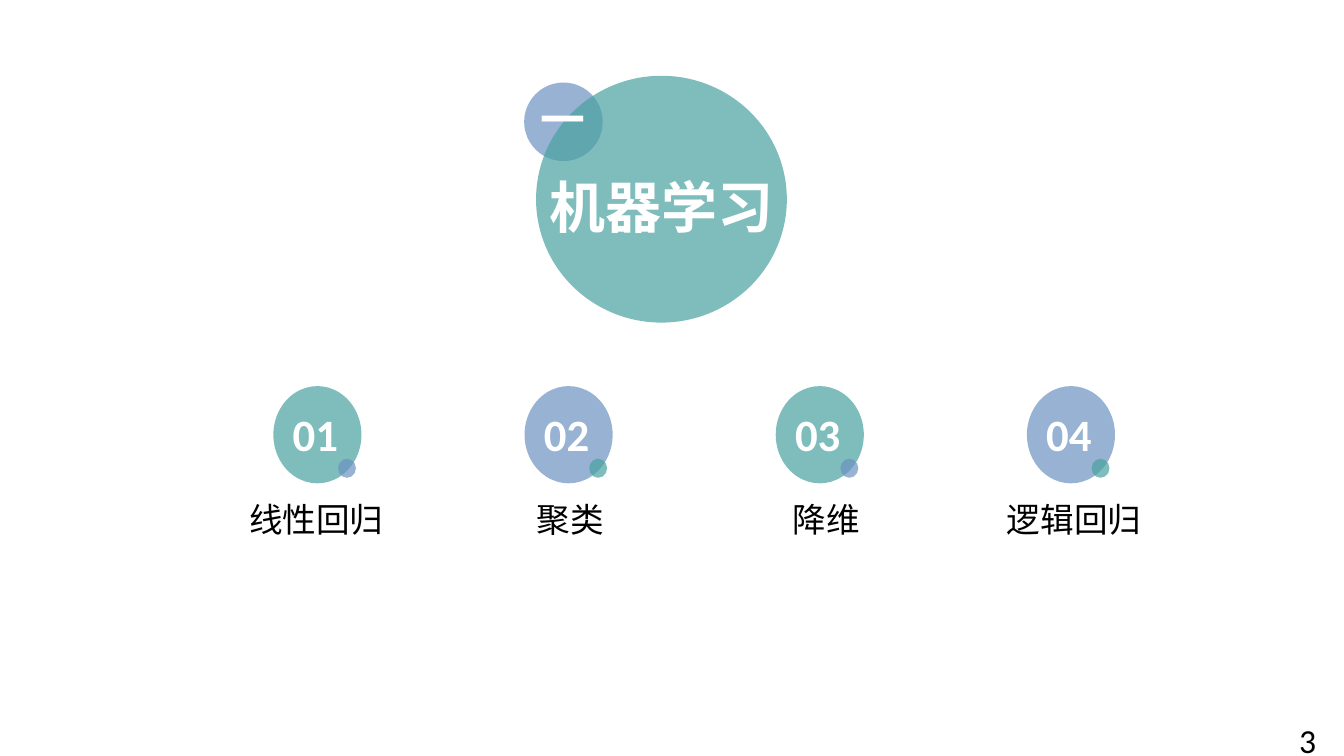
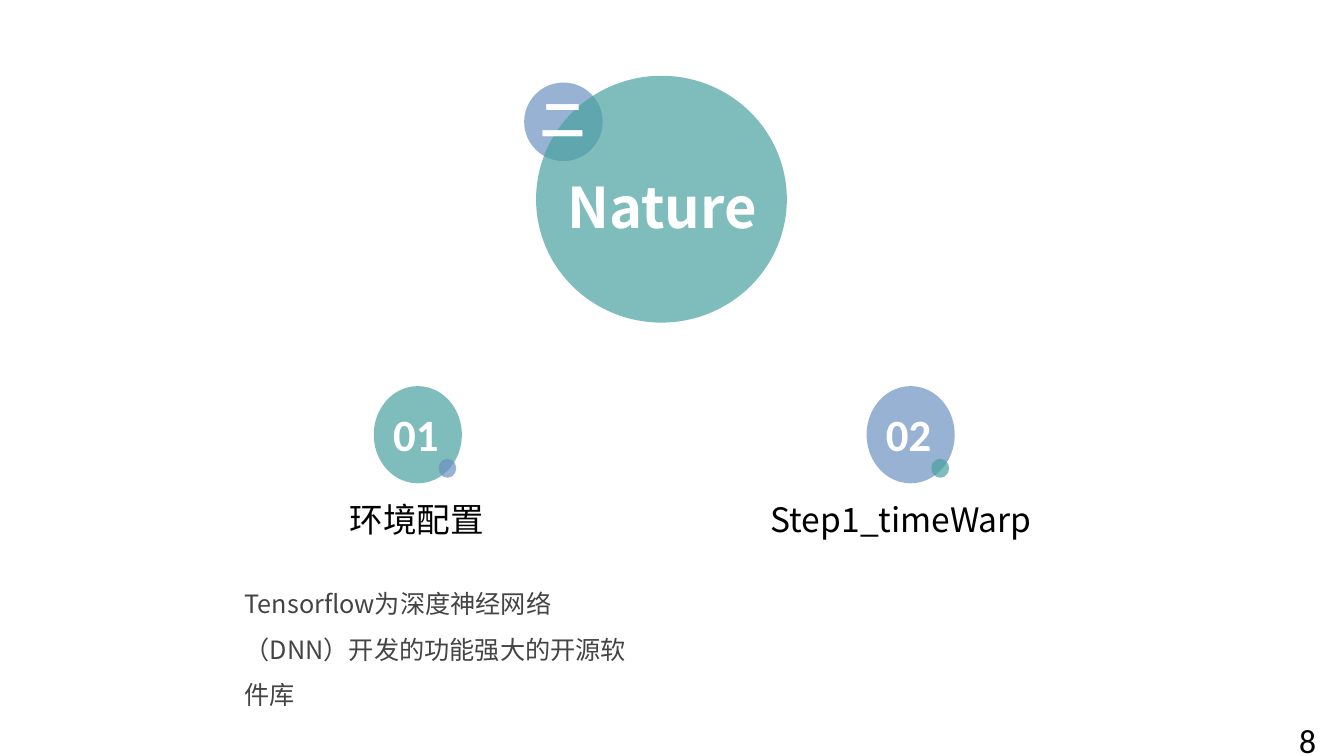
"""Build two section slides with a round heading and numbered topics."""
import lxml.etree
import pptx
import pptx.dml.color
import pptx.enum.shapes
import pptx.enum.text
import pptx.oxml.ns
import pptx.util

Cm = pptx.util.Cm
Pt = pptx.util.Pt
RGBColor = pptx.dml.color.RGBColor
ALIGN = pptx.enum.text.PP_ALIGN
qn = pptx.oxml.ns.qn

TEAL = RGBColor(0x48, 0xA2, 0xA0)
BLUE = RGBColor(0x6C, 0x92, 0xC0)
WHITE = RGBColor(0xFF, 0xFF, 0xFF)
BLACK = RGBColor(0x00, 0x00, 0x00)
GRAY = RGBColor(0x44, 0x44, 0x44)
LATIN = "Calibri"
CJK = "Noto Sans CJK SC"
LINE_HEIGHT = 1.22
TOPIC_W, TOPIC_H, TOPIC_TOP = 2.22, 2.45, 9.73

SECTIONS = [
    {
        "page": "3", "numeral": "一", "title": "机器学习",
        "left": 6.89, "step": 6.33,
        "topics": [("线性回归", -0.03), ("聚类", 0.04), ("降维", 0.17), ("逻辑回归", 0.08)],
        "note": "",
    },
    {
        "page": "8", "numeral": "二", "title": "Nature",
        "left": 9.42, "step": 12.42,
        "topics": [("环境配置", -0.03), ("Step1_timeWarp", -0.24)],
        "note": "Tensorflow为深度神经网络（DNN）开发的功能强大的开源软件库",
    },
]


def place(sp, x, y, w, h):
    """Move and size a shape, in centimetres."""
    sp.left, sp.top, sp.width, sp.height = Cm(x), Cm(y), Cm(w), Cm(h)


def write(sp, text, size=24, font=CJK, color=BLACK, bold=False,
          align=ALIGN.CENTER, wrap=True, leading=LINE_HEIGHT):
    """Fill a shape with one formatted paragraph."""
    tf = sp.text_frame
    tf.word_wrap = wrap
    tf.auto_size = pptx.enum.text.MSO_AUTO_SIZE.NONE
    tf.vertical_anchor = pptx.enum.text.MSO_ANCHOR.TOP
    p = tf.paragraphs[0]
    p.alignment = align
    p.line_spacing = Pt(leading * size)
    r = p.add_run()
    r.text = text
    r.font.size, r.font.name, r.font.bold = Pt(size), font, bold
    r.font.color.rgb = color
    for props in sp.element.iter(qn("a:rPr")):
        lxml.etree.SubElement(props, qn("a:ea"), typeface=font)


def add_text(s, text, x, y, w, h, **fmt):
    """Add a text box."""
    sp = s.shapes.add_textbox(Cm(x), Cm(y), Cm(w), Cm(h))
    write(sp, text, **fmt)


def add_disc(s, color, x, y, w, h):
    """Add a translucent ellipse without outline."""
    sp = s.shapes.add_shape(pptx.enum.shapes.MSO_SHAPE.OVAL, Cm(x), Cm(y), Cm(w), Cm(h))
    sp.shadow.inherit = False
    sp.fill.solid()
    sp.fill.fore_color.rgb = color
    sp.line.fill.background()
    fill = sp.element.spPr.find(qn("a:solidFill")).find(qn("a:srgbClr"))
    lxml.etree.SubElement(fill, qn("a:alpha"), val="70000")
    return sp


def add_heading(s, numeral, title):
    """Add the large title disc with its numeral badge."""
    add_disc(s, BLUE, 13.21, 2.08, 1.98, 1.98)
    disc = add_disc(s, TEAL, 13.51, 1.91, 6.32, 6.22)
    sp = s.shapes.title
    place(sp, 12.78, 4.2, 7.8, 1.78)
    write(sp, title, size=40, color=WHITE, bold=True)
    disc.element.addnext(sp.element)
    add_text(s, numeral, 13.21, 2.16, 1.93, 1.63, size=32, color=WHITE, bold=True)


def add_topic(s, index, x, label, shift):
    """Add one numbered disc with its dot and label."""
    main, accent = (TEAL, BLUE) if index % 2 == 0 else (BLUE, TEAL)
    add_disc(s, main, x, TOPIC_TOP, TOPIC_W, TOPIC_H)
    add_disc(s, accent, x + 1.63, 11.56, 0.45, 0.48)
    add_text(s, f"{index + 1:02d}", x + 0.16, 10.11, 1.8, 1.63,
             size=32, font=LATIN, color=WHITE, bold=True)
    width = 7.2
    add_text(s, label, x + (TOPIC_W - width) / 2 + shift, 12.42, width, 1.27, wrap=False)


def main():
    """Create and save the presentation."""
    prs = pptx.Presentation()
    prs.slide_width, prs.slide_height = Cm(33.87), Cm(19.05)
    for section in SECTIONS:
        s = prs.slides.add_slide(prs.slide_layouts[5])
        add_heading(s, section["numeral"], section["title"])
        for i, (label, shift) in enumerate(section["topics"]):
            add_topic(s, i, section["left"] + i * section["step"], label, shift)
        if section["note"]:
            add_text(s, section["note"], 5.92, 14.33, 10.64, 3.7, size=18,
                     color=GRAY, align=ALIGN.LEFT, leading=1.8)
        add_text(s, section["page"], 32.49, 18.01, 1.37, 1.03,
                 font=LATIN, align=ALIGN.LEFT)
    prs.save("out.pptx")


if __name__ == "__main__":
    main()
